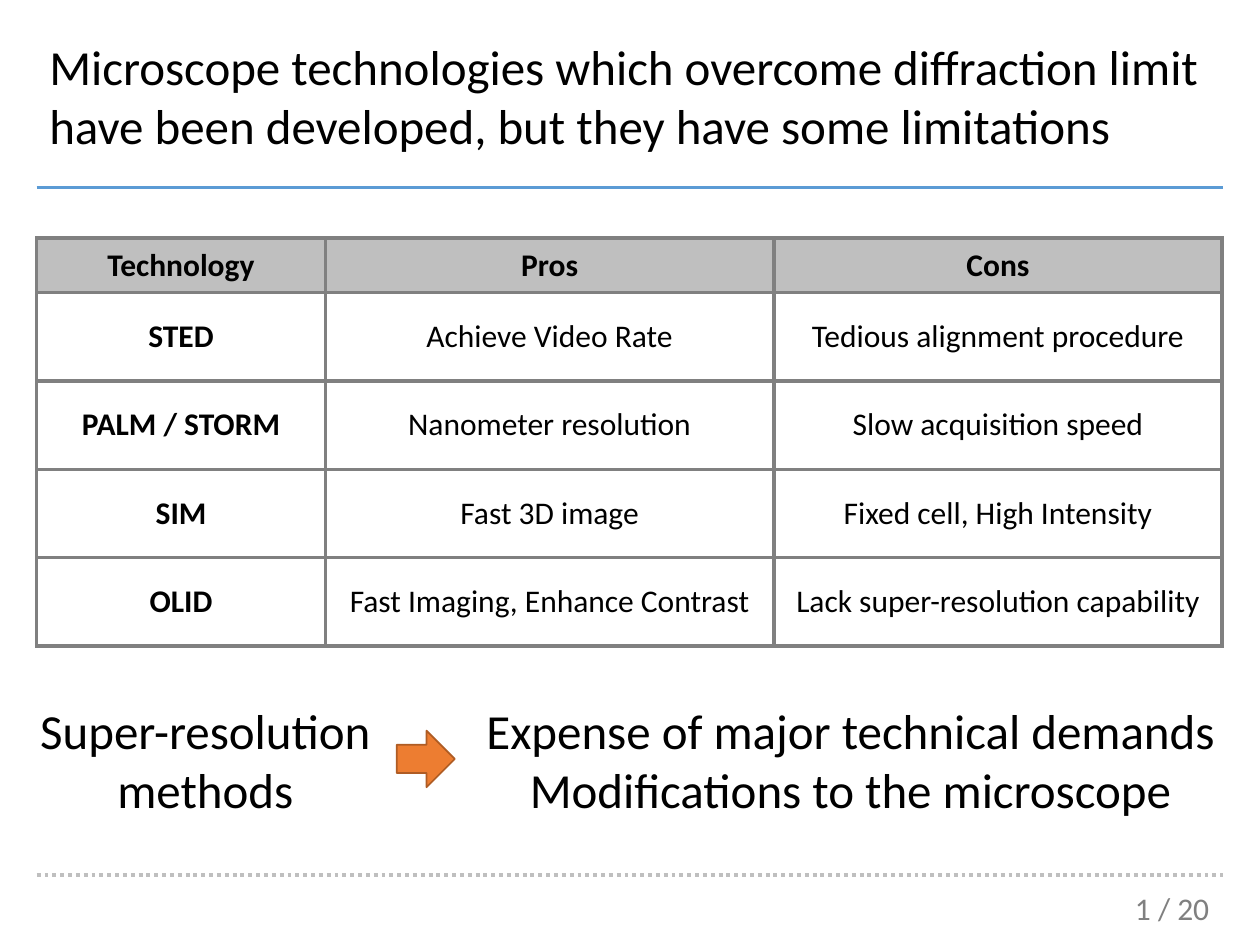
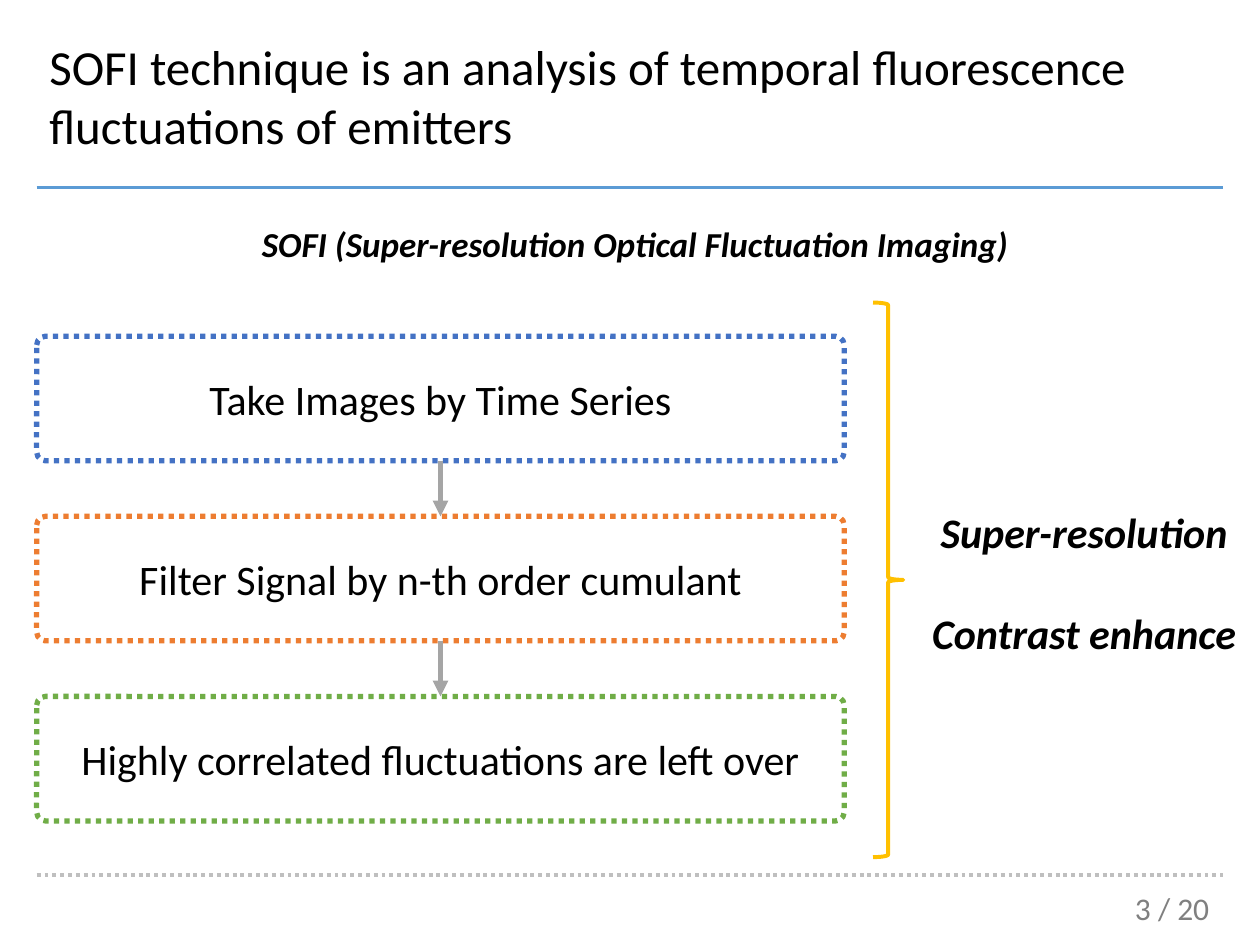
"""Build two slides on super-resolution microscopy: a comparison table and the SOFI steps."""
from lxml import etree
from pptx import Presentation
from pptx.dml.color import RGBColor
from pptx.enum.dml import MSO_LINE
from pptx.enum.shapes import MSO_CONNECTOR, MSO_SHAPE
from pptx.enum.text import MSO_ANCHOR, PP_ALIGN
from pptx.oxml.ns import qn
from pptx.util import Cm, Pt

LEFT, CENTER = PP_ALIGN.LEFT, PP_ALIGN.CENTER
MIDDLE = MSO_ANCHOR.MIDDLE
DOTTED = MSO_LINE.ROUND_DOT
STRAIGHT = MSO_CONNECTOR.STRAIGHT
ROUNDED, BRACE, ARROW = MSO_SHAPE.ROUNDED_RECTANGLE, MSO_SHAPE.RIGHT_BRACE, MSO_SHAPE.RIGHT_ARROW

FONT = "Calibri"
BLACK = RGBColor(0x00, 0x00, 0x00)
WHITE = RGBColor(0xFF, 0xFF, 0xFF)
GRAY = RGBColor(0x80, 0x80, 0x80)
ARROW_GRAY = RGBColor(0xA5, 0xA5, 0xA5)
LIGHT_GRAY = RGBColor(0xBF, 0xBF, 0xBF)
SKY_BLUE = RGBColor(0x5B, 0x9B, 0xD5)
BLUE = RGBColor(0x44, 0x72, 0xC4)
ORANGE = RGBColor(0xED, 0x7D, 0x31)
DARK_ORANGE = RGBColor(0xAF, 0x5C, 0x24)
GREEN = RGBColor(0x70, 0xAD, 0x47)
GOLD = RGBColor(0xFF, 0xC0, 0x00)

MARGIN, CONTENT_WIDTH = 0.74, 23.9
RIGHT_EDGE = 24.66


def write_text(text_frame, lines, size, color=BLACK, bold=False, italic=False,
               alignment=CENTER, gap=0, wrap=True):
    text_frame.word_wrap = wrap
    for index, line in enumerate(lines):
        paragraph = text_frame.paragraphs[0] if index == 0 else text_frame.add_paragraph()
        paragraph.alignment = alignment
        paragraph.space_before = Pt(gap if index else 0)
        run = paragraph.add_run()
        run.text = line
        run.font.name = FONT
        run.font.size = Pt(size)
        run.font.bold = bold
        run.font.italic = italic
        run.font.color.rgb = color


def add_line(slide, start_x, start_y, end_x, end_y, color, width, dash=None, arrowhead=False):
    connector = slide.shapes.add_connector(STRAIGHT, Cm(start_x), Cm(start_y), Cm(end_x), Cm(end_y))
    connector.line.color.rgb = color
    connector.line.width = Pt(width)
    if dash:
        connector.line.dash_style = dash
    properties = connector._element.spPr
    if arrowhead:
        etree.SubElement(properties.find(qn("a:ln")), qn("a:tailEnd"), type="triangle")
    etree.SubElement(properties, qn("a:effectLst"))


presentation = Presentation()
presentation.slide_width, presentation.slide_height = Cm(25.4), Cm(19.05)
title_only = presentation.slide_layouts[5]

slides = []
for title, page in [
    ("Microscope technologies which overcome diffraction limit have been developed, "
     "but they have some limitations", "1 / 20"),
    ("SOFI technique is an analysis of temporal fluorescence fluctuations of emitters", "3 / 20"),
]:
    slide = presentation.slides.add_slide(title_only)
    heading = slide.shapes.title
    heading.left, heading.top = Cm(MARGIN), Cm(0.61)
    heading.width, heading.height = Cm(CONTENT_WIDTH), Cm(2.64)
    heading.text_frame.vertical_anchor = MIDDLE
    write_text(heading.text_frame, [title], 28, alignment=LEFT)
    add_line(slide, MARGIN, 3.78, RIGHT_EDGE, 3.78, SKY_BLUE, 2.25)
    page_box = slide.shapes.add_textbox(Cm(22.63), Cm(17.8), Cm(2.03), Cm(1.02))
    write_text(page_box.text_frame, [page], 18, GRAY, alignment=LEFT, wrap=False)
    add_line(slide, MARGIN, 17.63, RIGHT_EDGE, 17.63, LIGHT_GRAY, 2.25, DOTTED)
    slides.append(slide)
comparison_slide, sofi_slide = slides

technologies = [
    ("Technology", "Pros", "Cons"),
    ("STED", "Achieve Video Rate", "Tedious alignment procedure"),
    ("PALM / STORM", "Nanometer resolution", "Slow acquisition speed"),
    ("SIM", "Fast 3D image", "Fixed cell, High Intensity"),
    ("OLID", "Fast Imaging, Enhance Contrast", "Lack super-resolution capability"),
]
table = comparison_slide.shapes.add_table(
    len(technologies), 3, Cm(MARGIN), Cm(4.8), Cm(CONTENT_WIDTH), Cm(8.2)).table
table.first_row = table.horz_banding = False
for column, width in zip(table.columns, (5.82, 9.04, 9.04)):
    column.width = Cm(width)
for row_index, values in enumerate(technologies):
    table.rows[row_index].height = Cm(1.78 if row_index else 1.1)
    for column_index, value in enumerate(values):
        cell = table.cell(row_index, column_index)
        cell.vertical_anchor = MIDDLE
        is_header = row_index == 0
        write_text(cell.text_frame, [value], 18, bold=is_header or column_index == 0)
        for side in ("lnL", "lnR", "lnT", "lnB"):
            border = etree.SubElement(cell._tc.get_or_add_tcPr(), qn(f"a:{side}"), w=str(Pt(2.25)))
            border_fill = etree.SubElement(border, qn("a:solidFill"))
            etree.SubElement(border_fill, qn("a:srgbClr"), val=str(GRAY))
        if is_header:
            cell.fill.solid()
            cell.fill.fore_color.rgb = LIGHT_GRAY
        else:
            cell.fill.background()

limits_box = comparison_slide.shapes.add_textbox(Cm(9.4), Cm(14), Cm(15.49), Cm(2.64))
write_text(limits_box.text_frame,
           ["Expense of major technical demands Modifications to the microscope"], 28)
methods_box = comparison_slide.shapes.add_textbox(Cm(0.51), Cm(14), Cm(7.26), Cm(2.64))
write_text(methods_box.text_frame, ["Super-resolution", "methods"], 28, wrap=False)
arrow = comparison_slide.shapes.add_shape(ARROW, Cm(8), Cm(14.73), Cm(1.17), Cm(1.14))
arrow.shadow.inherit = False
arrow.fill.solid()
arrow.fill.fore_color.rgb = ORANGE
arrow.line.color.rgb = DARK_ORANGE
arrow.line.width = Pt(1)

STEP_TOP, STEP_PITCH = 6.78, 3.63
STEP_WIDTH, STEP_HEIGHT = 16.28, 2.51
steps = [
    ("Take Images by Time Series", BLUE),
    ("Filter Signal by n-th order cumulant", ORANGE),
    ("Highly correlated fluctuations are left over", GREEN),
]
for index, (text, color) in enumerate(steps):
    top = STEP_TOP + index * STEP_PITCH
    step = sofi_slide.shapes.add_shape(
        ROUNDED, Cm(MARGIN), Cm(top), Cm(STEP_WIDTH), Cm(STEP_HEIGHT))
    step.adjustments[0] = 0.07
    step.shadow.inherit = False
    step.fill.solid()
    step.fill.fore_color.rgb = WHITE
    step.line.color.rgb = color
    step.line.width = Pt(3)
    step.line.dash_style = DOTTED
    step.text_frame.vertical_anchor = MIDDLE
    write_text(step.text_frame, [text], 24)
for index in range(len(steps) - 1):
    top = STEP_TOP + index * STEP_PITCH
    middle = MARGIN + STEP_WIDTH / 2
    add_line(sofi_slide, middle, top + STEP_HEIGHT, middle, top + STEP_PITCH,
             ARROW_GRAY, 3, arrowhead=True)

brace = sofi_slide.shapes.add_shape(BRACE, Cm(17.6), Cm(6.1), Cm(0.61), Cm(11.18))
brace.shadow.inherit = False
brace.fill.background()
brace.line.color.rgb = GOLD
brace.line.width = Pt(2.25)
benefits_box = sofi_slide.shapes.add_textbox(Cm(18.36), Cm(10.08), Cm(6.99), Cm(3.33))
write_text(benefits_box.text_frame, ["Super-resolution", "Contrast enhance"], 24,
           bold=True, italic=True, gap=29)
name_box = sofi_slide.shapes.add_textbox(Cm(5.03), Cm(4.37), Cm(15.67), Cm(1.12))
write_text(name_box.text_frame, ["SOFI (Super-resolution Optical Fluctuation Imaging)"], 20,
           bold=True, italic=True, alignment=LEFT, wrap=False)

presentation.save("out.pptx")
